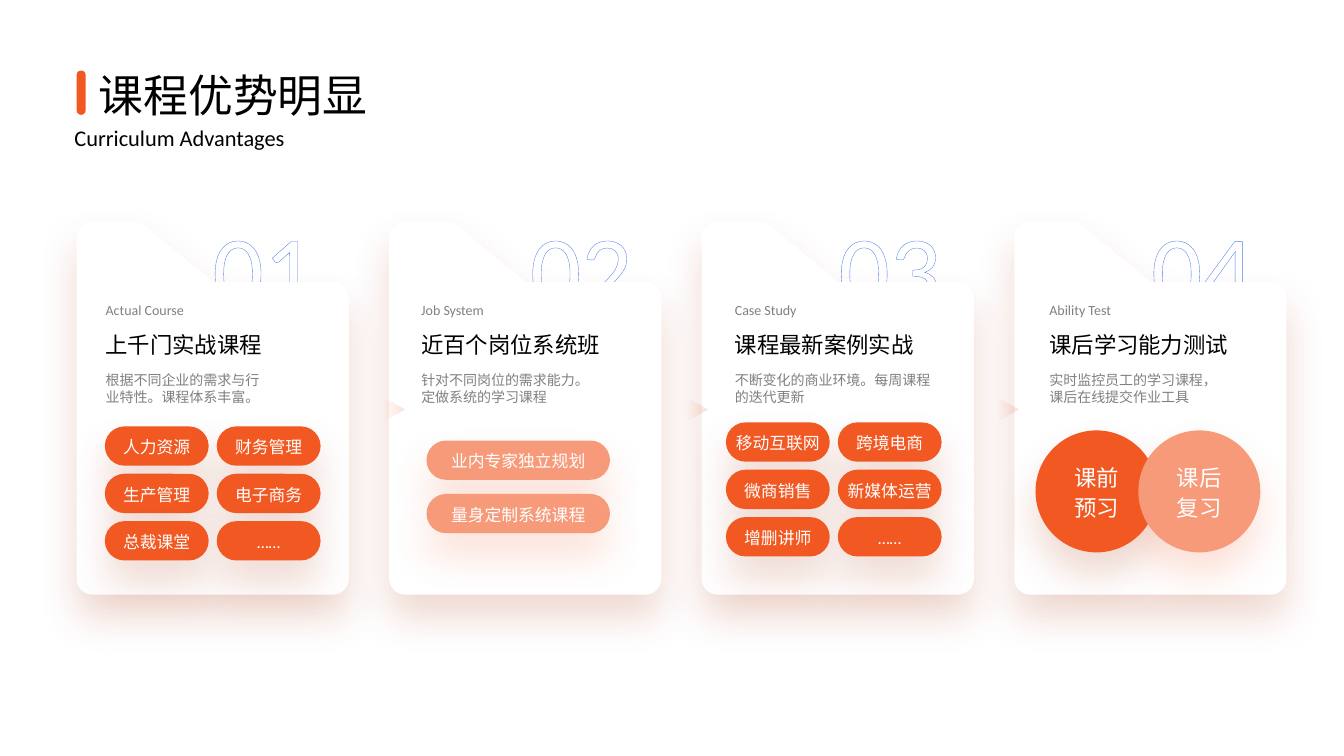
from math import cos, radians, sin

from lxml import etree
from pptx import Presentation
from pptx.dml.color import RGBColor
from pptx.enum.shapes import MSO_SHAPE
from pptx.enum.text import MSO_ANCHOR, PP_ALIGN
from pptx.oxml import parse_xml
from pptx.oxml.ns import nsdecls, qn
from pptx.util import Inches, Pt

ORANGE = RGBColor(0xF2, 0x58, 0x22)
PEACH = RGBColor(0xF7, 0x9A, 0x7A)
RUST = RGBColor(0xAE, 0x34, 0x0A)
CORAL = RGBColor(0xF3, 0x60, 0x2D)
BLUE = RGBColor(0x50, 0x80, 0xE8)
WHITE = RGBColor(0xFF, 0xFF, 0xFF)
BLACK = RGBColor(0, 0, 0)
PILL, CIRCLE, PIE = MSO_SHAPE.ROUNDED_RECTANGLE, MSO_SHAPE.OVAL, MSO_SHAPE.PIE
CENTER, MIDDLE = PP_ALIGN.CENTER, MSO_ANCHOR.MIDDLE
FONT = "Calibri"
CARD_LEFT, CARD_TOP, CARD_PITCH = 0.76, 2.2, 3.1
CARD_W, CARD_H = 2.7, 3.7
CORNER, TAB_END, SLOPE_END, SHOULDER = 0.16, 0.63, 1.36, 0.6

PILL_GRID = dict(kind=PILL, cols=2, size=(1.03, 0.39), pitch=(1.11, 0.47),
                 fills=[ORANGE], pt=12, inset=0)
WIDE_PILLS = dict(kind=PILL, cols=1, size=(1.82, 0.39), pitch=(0, 0.53),
                  fills=[PEACH], pt=12, inset=0)
CIRCLES = dict(kind=CIRCLE, cols=2, size=(1.21, 1.21), pitch=(1.02, 0),
               fills=[ORANGE, PEACH], pt=16, inset=0.1)

CARDS = [
    dict(number="01", number_x=1.25, text_x=0.19, text_w=1.79,
         tag="Actual Course", heading="上千门实战课程",
         body="根据不同企业的需求与行业特性。课程体系丰富。",
         labels=["人力资源", "财务管理", "生产管理", "电子商务", "总裁课堂", "……"],
         origin=(0.28, 2.03), style=PILL_GRID),
    dict(number="02", number_x=1.3, text_x=0.22, text_w=1.79,
         tag="Job System", heading="近百个岗位系统班",
         body="针对不同岗位的需求能力。定做系统的学习课程",
         labels=["业内专家独立规划", "量身定制系统课程"],
         origin=(0.37, 2.17), style=WIDE_PILLS),
    dict(number="03", number_x=1.26, text_x=0.23, text_w=2.14,
         tag="Case Study", heading="课程最新案例实战",
         body="不断变化的商业环境。每周课程的迭代更新",
         labels=["移动互联网", "跨境电商", "微商销售", "新媒体运营", "增删讲师", "……"],
         origin=(0.24, 1.99), style=PILL_GRID),
    dict(number="04", number_x=1.26, text_x=0.25, text_w=1.78,
         tag="Ability Test", heading="课后学习能力测试",
         body="实时监控员工的学习课程，课后在线提交作业工具",
         labels=["课前预习", "课后复习"],
         origin=(0.21, 2.07), style=CIRCLES),
]


def write(tf, text, pt, color, spacing=None, alpha=None):
    """Fill a text frame with one formatted paragraph and return its run."""
    p = tf.paragraphs[0]
    p.text = text
    if spacing:
        p.line_spacing = spacing
    r = p.runs[0]
    r.font.name, r.font.size = FONT, Pt(pt)
    r.font.color.rgb = color
    if alpha:
        clr = r.font._element.find(qn("a:solidFill"))[0]
        etree.SubElement(clr, qn("a:alpha")).set("val", str(alpha * 1000))
    return r


def add_text(s, x, y, w, h, text, pt, color=BLACK, wrap=True, **options):
    """Add a text box and return its run."""
    tf = s.shapes.add_textbox(Inches(x), Inches(y), Inches(w), Inches(h)).text_frame
    tf.word_wrap = wrap
    return write(tf, text, pt, color, **options)


def paint(sp, fill, shadow=None):
    """Give a shape a plain fill, no line and an optional soft shadow."""
    sp.fill.solid()
    sp.fill.fore_color.rgb = fill
    sp.line.fill.background()
    sp.shadow.inherit = False
    if shadow is not None:
        sp._element.spPr.find(qn("a:effectLst")).append(parse_xml(
            f'<a:outerShdw {nsdecls("a")} blurRad="{Pt(29)}" dist="{Pt(16)}" '
            f'dir="5400000" algn="t" rotWithShape="0"><a:srgbClr val="{shadow}">'
            '<a:alpha val="18000"/></a:srgbClr></a:outerShdw>'))


def add_shape(s, kind, x, y, w, h, fill, shadow=None):
    """Add a painted preset shape."""
    sp = s.shapes.add_shape(kind, Inches(x), Inches(y), Inches(w), Inches(h))
    paint(sp, fill, shadow)
    if kind == PILL:
        sp.adjustments[0] = 0.5
    return sp


def arc(cx, cy, start):
    """Return points of a clockwise quarter turn around a corner centre."""
    angles = [radians(start + step) for step in range(0, 91, 10)]
    return [(cx + CORNER * cos(a), cy + CORNER * sin(a)) for a in angles]


def folder(s, x, y, w, h):
    """Draw the white folder outline with its sloping tab."""
    left, right = x + CORNER, x + w - CORNER
    bottom = y + h - CORNER
    points = (arc(left, y + CORNER, 180)
              + [(x + TAB_END, y), (x + SLOPE_END, y + SHOULDER)]
              + arc(right, y + SHOULDER + CORNER, 270)
              + arc(right, bottom, 0) + arc(left, bottom, 90))
    points = [(Inches(px), Inches(py)) for px, py in points]
    builder = s.shapes.build_freeform(*points[0])
    builder.add_line_segments(points[1:], close=True)
    paint(builder.convert_to_shape(), WHITE, RUST)


def badges(s, x, y, labels, kind, cols, size, pitch, fills, pt, inset):
    """Lay out labelled pills or circles on a grid."""
    for i, label in enumerate(labels):
        row, col = divmod(i, cols)
        fill = fills[i % len(fills)]
        sp = add_shape(s, kind, x + col * pitch[0], y + row * pitch[1], *size,
                       fill, CORAL if fill == PEACH else RUST)
        tf = sp.text_frame
        tf.word_wrap, tf.vertical_anchor = True, MIDDLE
        tf.margin_left = tf.margin_right = Inches(inset)
        tf.margin_top = tf.margin_bottom = 0
        write(tf, label, pt, WHITE, spacing=1.1)
        tf.paragraphs[0].alignment = CENTER


def card(s, x, y, w, h, info):
    """Draw one advantage card inside its box."""
    r = add_text(s, x + info["number_x"], y - 0.21, 1.53, 1.31,
                 info["number"], 72, WHITE, wrap=False)
    r.font._element.insert(0, parse_xml(
        f'<a:ln {nsdecls("a")} w="{Pt(1.5)}"><a:solidFill>'
        f'<a:srgbClr val="{BLUE}"/></a:solidFill></a:ln>'))
    folder(s, x, y, w, h)
    tx = x + info["text_x"]
    add_text(s, tx, y + 0.74, 1.24, 0.28, info["tag"], 10, alpha=50)
    add_text(s, tx, y + 1.01, 2.14, 0.39, info["heading"], 16, spacing=1.1)
    add_text(s, tx, y + 1.44, info["text_w"], 0.44, info["body"], 10, alpha=50)
    dx, dy = info["origin"]
    badges(s, x + dx, y + dy, info["labels"], **info["style"])


def arrow(s, tip_x, tip_y, radius):
    """Draw a fading wedge that points right at its tip."""
    sp = add_shape(s, PIE, tip_x - radius, tip_y - radius,
                   2 * radius, 2 * radius, ORANGE)
    sp.adjustments[0], sp.adjustments[1] = 198, 18
    sp.rotation = 180
    spPr = sp._element.spPr
    spPr.replace(spPr.find(qn("a:solidFill")), parse_xml(
        f'<a:gradFill {nsdecls("a")} rotWithShape="1"><a:gsLst>'
        f'<a:gs pos="39000"><a:srgbClr val="{ORANGE}"><a:alpha val="0"/></a:srgbClr></a:gs>'
        f'<a:gs pos="100000"><a:srgbClr val="{ORANGE}"/></a:gs>'
        '</a:gsLst><a:lin ang="10800000" scaled="0"/></a:gradFill>'))


def header(s, x, y):
    """Draw the accent bar, the title and the subtitle."""
    add_text(s, x + 0.12, y - 0.08, 2.89, 0.64, "课程优势明显", 32, wrap=False)
    add_shape(s, PILL, x, y, 0.09, 0.44, ORANGE)
    add_text(s, x - 0.12, y + 0.48, 2.72, 0.37, "Curriculum Advantages", 16, wrap=False)


def main():
    """Build and save the slide."""
    prs = Presentation()
    prs.slide_width, prs.slide_height = Inches(13.33), Inches(7.5)
    s = prs.slides.add_slide(prs.slide_layouts[6])
    header(s, CARD_LEFT, 0.7)
    for i, info in enumerate(CARDS):
        card(s, CARD_LEFT + i * CARD_PITCH, CARD_TOP, CARD_W, CARD_H, info)
    for tip_x in (4.01, 7.02, 10.1):
        arrow(s, tip_x, 4.06, 0.95)
    prs.save("out.pptx")


if __name__ == "__main__":
    main()
